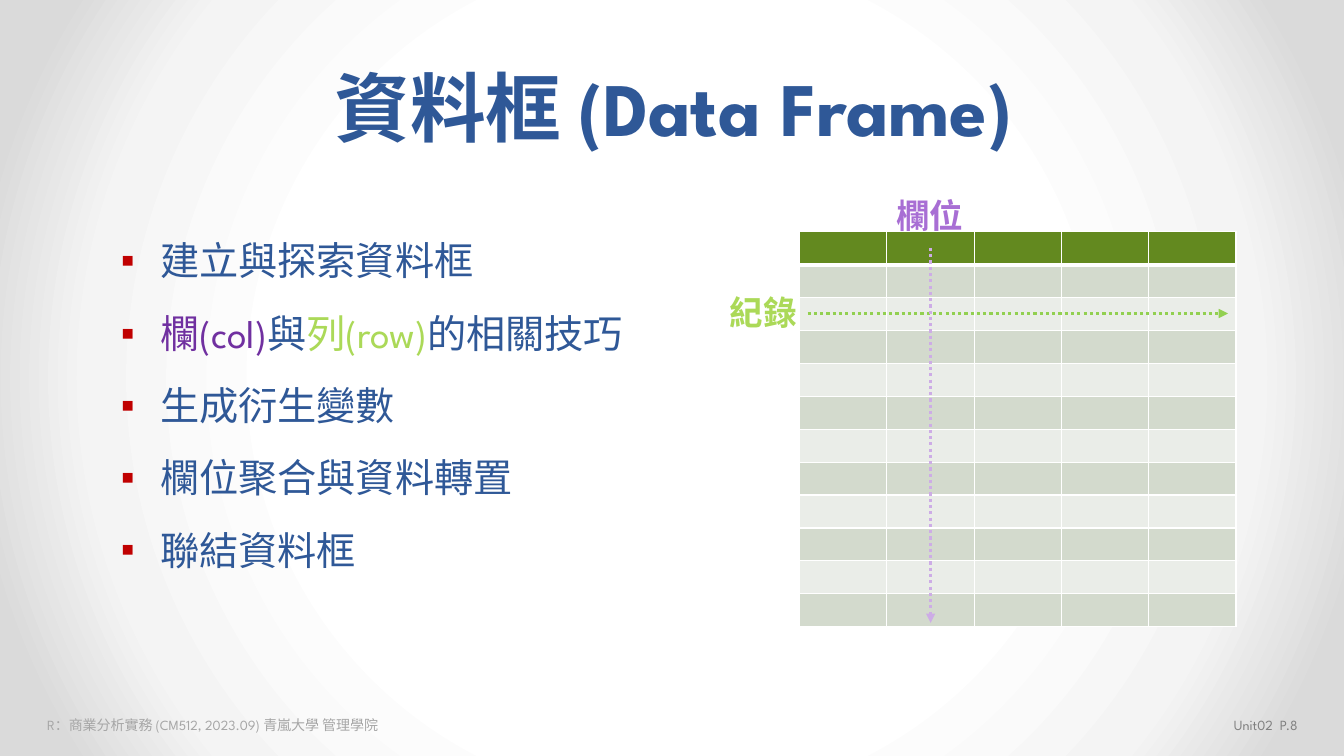
"""Build the data frame slide: topic list beside a table with column and record arrows."""
from lxml.etree import SubElement
from pptx import Presentation
from pptx.dml.color import RGBColor
from pptx.enum.dml import MSO_LINE_DASH_STYLE as Dash
from pptx.enum.shapes import MSO_CONNECTOR as Connector
from pptx.enum.text import MSO_ANCHOR as Anchor, MSO_AUTO_SIZE as AutoSize, PP_ALIGN as Align
from pptx.oxml import parse_xml
from pptx.oxml.ns import nsdecls, qn
from pptx.util import Inches, Pt

NAVY = RGBColor(0x2F, 0x58, 0x97)
PURPLE = RGBColor(0x70, 0x30, 0xA0)
LIME = RGBColor(0xAB, 0xD9, 0x58)
VIOLET = RGBColor(0xA8, 0x6E, 0xD4)
LILAC = RGBColor(0xCD, 0xAC, 0xE6)
GREEN = RGBColor(0x92, 0xD0, 0x50)
HEADER = RGBColor(0x63, 0x89, 0x1F)
BAND_DARK = RGBColor(0xD3, 0xDA, 0xCD)
BAND_LIGHT = RGBColor(0xEA, 0xED, 0xE8)
FOOTER_GREY = RGBColor(0xA6, 0xA6, 0xA6)
PAGE_GREY = RGBColor(0x80, 0x80, 0x80)
FONT = "League Spartan"
ROWS, COLUMNS = 12, 5


def add_run(paragraph, text, color, **font_format):
    run = paragraph.add_run()
    run.text = text
    run.font.color.rgb = color
    for name, value in ({"name": FONT} | font_format).items():
        setattr(run.font, name, value)


def add_textbox(left, top, width, height, wrap=True):
    frame = slide.shapes.add_textbox(
        Inches(left), Inches(top), Inches(width), Inches(height)).text_frame
    frame.word_wrap = wrap
    frame.auto_size = AutoSize.SHAPE_TO_FIT_TEXT
    return frame


presentation = Presentation()
presentation.slide_width = Inches(13.33)
presentation.slide_height = Inches(7.5)
slide = presentation.slides.add_slide(presentation.slide_layouts[5])

stops = "".join(
    f'<a:gs pos="{position * 1000}"><a:srgbClr val="{color}"/></a:gs>'
    for position, color in [(50, "FFFFFF"), (76, "F4F4F4"), (92, "DADADA")])
slide.element.cSld.insert(0, parse_xml(
    f'<p:bg {nsdecls("p", "a")}><p:bgPr><a:gradFill rotWithShape="1"><a:gsLst>{stops}</a:gsLst>'
    '<a:path path="circle"><a:fillToRect l="50000" t="50000" r="50000" b="50000"/></a:path>'
    '</a:gradFill><a:effectLst/></p:bgPr></p:bg>'))

footers = [
    (0.37, 4.3, "R：商業分析實務 (CM512, 2023.09) 青嵐大學 管理學院", FOOTER_GREY, Align.LEFT),
    (10.03, 2.94, "Unit02  P.8", PAGE_GREY, Align.RIGHT),
]
for left, width, text, color, alignment in footers:
    paragraph = add_textbox(left, 7.06, width, 0.27).paragraphs[0]
    paragraph.alignment = alignment
    add_run(paragraph, text, color, size=Pt(10))

title = slide.shapes.title
title.left, title.top = Inches(0.68), Inches(0.52)
title.width, title.height = Inches(12), Inches(1.07)
title.text_frame.vertical_anchor = Anchor.MIDDLE
title.text_frame.auto_size = AutoSize.NONE
heading = title.text_frame.paragraphs[0]
heading.alignment = Align.CENTER
add_run(heading, "資料框 ", NAVY, name="Arial", size=Pt(54), bold=True)
add_run(heading, "(Data Frame)", NAVY, size=Pt(54), bold=True)

topics = [
    [("建立與探索資料框", NAVY)],
    [("欄(col)", PURPLE), ("與", NAVY), ("列(row)", LIME), ("的相關技巧", NAVY)],
    [("生成衍生變數", NAVY)],
    [("欄位聚合與資料轉置", NAVY)],
    [("聯結資料框", NAVY)],
]
topic_list = add_textbox(1.1, 2.3, 6.61, 3.47)
for index, topic in enumerate(topics):
    paragraph = topic_list.add_paragraph() if index else topic_list.paragraphs[0]
    paragraph.space_before = Pt(18)
    properties = paragraph._p.get_or_add_pPr()
    properties.set("marL", str(Inches(0.39)))
    properties.set("indent", str(-Inches(0.39)))
    bullet_color = SubElement(properties, qn("a:buClr"))
    SubElement(bullet_color, qn("a:srgbClr"), val="C00000")
    SubElement(properties, qn("a:buFont"), typeface="Arial")
    SubElement(properties, qn("a:buChar"), char="▪")
    for text, color in topic:
        add_run(paragraph, text, color, size=Pt(28))

data_frame = slide.shapes.add_table(
    ROWS, COLUMNS, Inches(7.93), Inches(2.3), Inches(4.33), Inches(3.92)).table
for row_index, row in enumerate(data_frame.rows):
    for cell in row.cells:
        cell.margin_top = cell.margin_bottom = 0
        cell.text_frame.paragraphs[0]._p.get_or_add_endParaRPr().set("sz", "1000")
        properties = cell._tc.get_or_add_tcPr()
        for side in ("lnL", "lnR", "lnT", "lnB"):
            thick = (row_index, side) in [(0, "lnB"), (1, "lnT")]
            border = SubElement(properties, qn(f"a:{side}"), w=str(Pt(3 if thick else 1)))
            border_fill = SubElement(border, qn("a:solidFill"))
            SubElement(border_fill, qn("a:srgbClr"), val="FFFFFF")
        cell.fill.solid()
        band = BAND_DARK if row_index % 2 else BAND_LIGHT
        cell.fill.fore_color.rgb = band if row_index else HEADER

for left, top, text, color in [(7.14, 2.85, "紀錄", LIME), (8.79, 1.88, "欄位", VIOLET)]:
    label = add_textbox(left, top, 0.88, 0.5, wrap=False)
    add_run(label.paragraphs[0], text, color, size=Pt(24), bold=True)

arrows = [(8.01, 3.11, 12.18, 3.11, GREEN), (9.23, 2.46, 9.23, 6.18, LILAC)]
for *ends, color in arrows:
    arrow = slide.shapes.add_connector(Connector.STRAIGHT, *map(Inches, ends))
    arrow.line.color.rgb = color
    arrow.line.width = Pt(2.25)
    arrow.line.dash_style = Dash.ROUND_DOT
    SubElement(arrow.line._get_or_add_ln(), qn("a:tailEnd"), type="triangle")
    SubElement(arrow._element.spPr, qn("a:effectLst"))

presentation.save("out.pptx")
